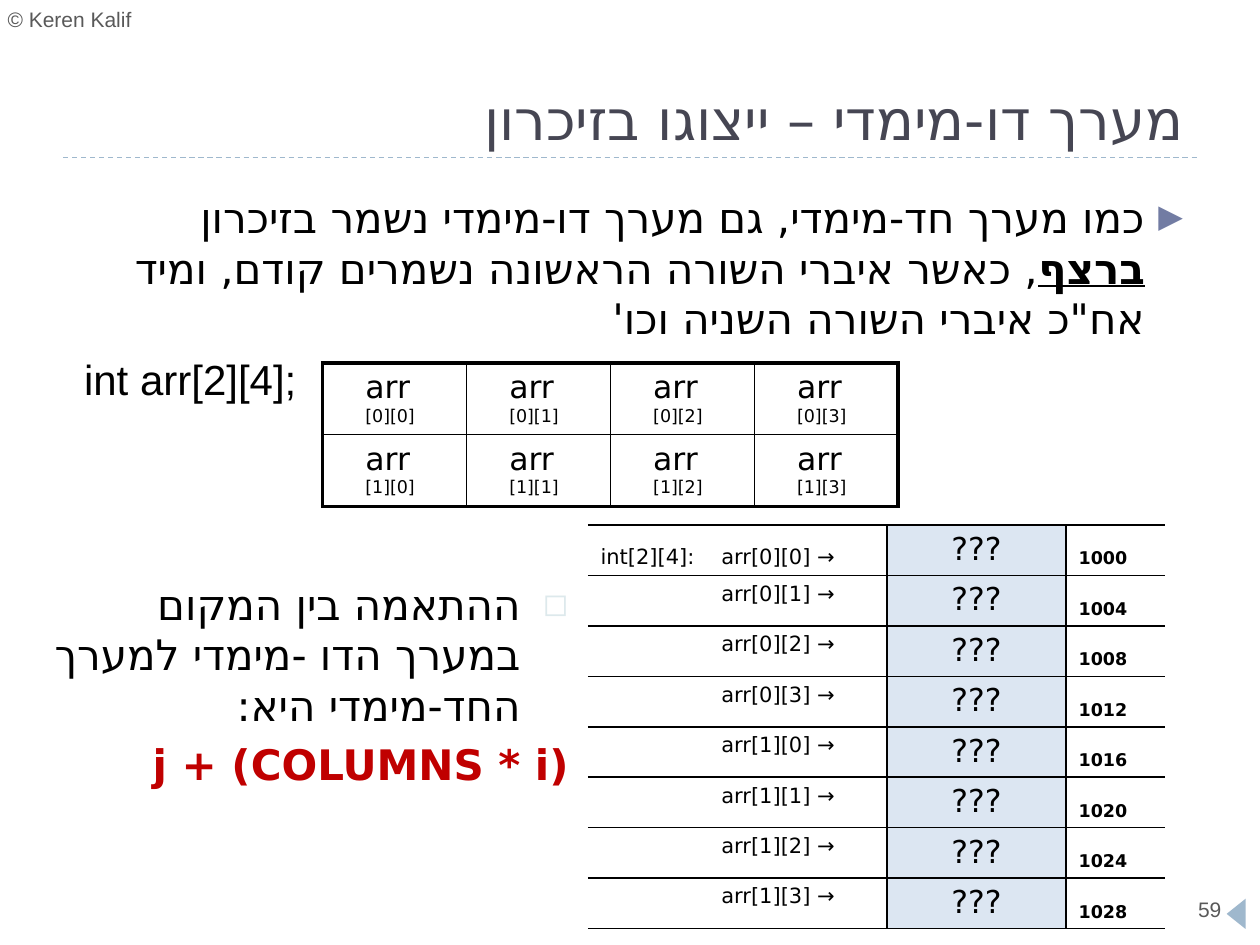
from dataclasses import dataclass
from lxml.etree import SubElement
from pptx import Presentation
from pptx.dml.color import RGBColor
from pptx.enum.dml import MSO_LINE
from pptx.enum.shapes import MSO_CONNECTOR, MSO_SHAPE
from pptx.enum.text import MSO_ANCHOR, PP_ALIGN
from pptx.oxml.ns import qn
from pptx.util import Pt


@dataclass(frozen=True)
class Theme:
    ink: str = "000000"
    title: str = "464653"
    note: str = "595959"
    rule: str = "9FB8CD"
    mark: str = "727CA3"
    pale: str = "DDE9EC"
    cell: str = "DCE6F2"
    red: str = "C00000"
    sans: str = "Arial"
    wide: str = "DejaVu Sans"
    head: int = 32
    body: int = 24
    item: int = 18
    small: int = 12
    tiny: int = 10


T = Theme()
SIDES = {"l": "a:lnL", "r": "a:lnR", "t": "a:lnT", "b": "a:lnB"}


def write(para, text, size=T.body, font=T.sans, color=T.ink, bold=False,
          line=False, align=None, rtl=False, indent=0, hang=0, before=0,
          bullet=None):
    """Add a run; bullet is (sign, colour, percent of text size)."""
    props = para._p.get_or_add_pPr()
    if rtl:
        props.set("rtl", "1")
        align = PP_ALIGN.RIGHT
    if indent:
        props.set("marL", str(Pt(indent)))
        props.set("indent", str(Pt(-hang)))
    if bullet:
        sign, tint, scale = bullet
        SubElement(SubElement(props, qn("a:buClr")), qn("a:srgbClr"), val=tint)
        SubElement(props, qn("a:buSzPct"), val=str(scale * 1000))
        SubElement(props, qn("a:buFont"), typeface=T.wide)
        SubElement(props, qn("a:buChar"), char=sign)
    if align is not None:
        para.alignment = align
    if before:
        para.space_before = Pt(before)
    run = para.add_run()
    run.text = text
    face = run.font
    face.size, face.name, face.bold, face.underline = Pt(size), font, bold, line
    face.color.rgb = RGBColor.from_string(color)
    SubElement(run._r.get_or_add_rPr(), qn("a:cs"), typeface=T.wide)


def add_box(slide, box, anchor=MSO_ANCHOR.TOP, inset=7.2):
    frame = slide.shapes.add_textbox(*map(Pt, box)).text_frame
    frame.word_wrap = True
    frame.vertical_anchor = anchor
    frame.margin_left = Pt(inset)
    return frame


def add_edges(cell, edges):
    """Draw the sides given as {side: width}; clear the rest."""
    props = cell._tc.get_or_add_tcPr()
    for side, tag in SIDES.items():
        width = edges.get(side, 0)
        edge = SubElement(props, qn(tag), w=str(Pt(width)))
        if width:
            fill = SubElement(edge, qn("a:solidFill"))
            SubElement(fill, qn("a:srgbClr"), val=T.ink)
        else:
            SubElement(edge, qn("a:noFill"))


def add_grid(slide, box, rows, widths):
    left, top, width, height = box
    table = slide.shapes.add_table(rows, len(widths), Pt(left), Pt(top),
                                   Pt(width), Pt(height)).table
    table.first_row = table.horz_banding = False
    for col, size in zip(table.columns, widths):
        col.width = Pt(size)
    for row in table.rows:
        row.height = Pt(height / rows)
    return table


def add_frame(slide, box):
    left, top, width, height = box
    rule = slide.shapes.add_connector(MSO_CONNECTOR.STRAIGHT, Pt(left + 36),
                                      Pt(top + 90), Pt(left + width - 36),
                                      Pt(top + 90))
    rule.line.color.rgb = RGBColor.from_string(T.rule)
    rule.line.width = Pt(0.75)
    rule.line.dash_style = MSO_LINE.DASH
    SubElement(rule._element.spPr, qn("a:effectLst"))
    arrow = slide.shapes.add_shape(
        MSO_SHAPE.ISOSCELES_TRIANGLE, Pt(left + width - 22.3),
        Pt(top + height - 23.2), Pt(17.3), Pt(10.8))
    arrow.rotation = 270
    arrow.shadow.inherit = False
    arrow.fill.solid()
    arrow.fill.fore_color.rgb = RGBColor.from_string(T.rule)
    arrow.line.fill.background()
    note = add_box(slide, (left, top, 106, 22), inset=4.3)
    write(note.paragraphs[0], "© Keren Kalif", size=T.small, color=T.note)
    page = add_box(slide, (left + width - 42.5, top + height - 31, 34, 22))
    write(page.paragraphs[0], "59", size=T.small, color=T.note)


def add_title(slide, box):
    frame = add_box(slide, box, anchor=MSO_ANCHOR.BOTTOM)
    write(frame.paragraphs[0], "מערך דו-מימדי – ייצוגו בזיכרון",
          size=T.head, color=T.title, rtl=True)


def add_intro(slide, box):
    frame = add_box(slide, box)
    para = frame.paragraphs[0]
    write(para, "כמו מערך חד-מימדי, גם מערך דו-מימדי נשמר בזיכרון ", rtl=True,
          indent=21.6, hang=21.6, bullet=("▶", T.mark, 76))
    write(para, "ברצף", bold=True, line=True)
    write(para, ", כאשר איברי השורה הראשונה נשמרים קודם, ומיד אח\"כ "
                "איברי השורה השניה וכו'")
    write(frame.add_paragraph(), "int arr[2][4];", before=6)


def add_match(slide, box):
    """Rule that maps a grid place to a memory place."""
    frame = add_box(slide, box)
    look = dict(font=T.wide, rtl=True, indent=27.4, hang=27.4)
    write(frame.paragraphs[0],
          "ההתאמה בין המקום במערך הדו -מימדי למערך החד-מימדי היא:",
          bullet=("◻", T.pale, 75), **look)
    write(frame.add_paragraph(), "(COLUMNS * i) + j", color=T.red, bold=True,
          before=4.8, **look)


def add_array(slide, box, rows, cols):
    table = add_grid(slide, box, rows, [box[2] / cols] * cols)
    for i in range(rows):
        for j in range(cols):
            cell = table.cell(i, j)
            cell.margin_left = cell.margin_right = Pt(24.5)
            outer = {"l": j == 0, "r": j == cols - 1,
                     "t": i == 0, "b": i == rows - 1}
            add_edges(cell, {s: 2.25 if out else 1 for s, out in outer.items()})
            cell.fill.background()
            para = cell.text_frame.paragraphs[0]
            write(para, "arr ", size=T.item, font=T.wide)
            write(para, f"[{i}][{j}]", size=T.tiny, font=T.wide)


def add_memory(slide, box, rows, cols):
    count = rows * cols
    table = add_grid(slide, box, count, [170.8, 102.4, box[2] - 273.2])
    for n in range(count):
        name, value, place = (table.cell(n, c) for c in range(3))
        add_edges(name, {"t": 1, "r": 1, "b": 1})
        add_edges(value, dict.fromkeys(SIDES, 1))
        add_edges(place, {"l": 1, "t": 1, "b": 1})
        name.fill.background()
        value.fill.solid()
        value.fill.fore_color.rgb = RGBColor.from_string(T.cell)
        place.fill.background()
        place.vertical_anchor = MSO_ANCHOR.BOTTOM
        label = f"arr[{n // cols}][{n % cols}] →"
        if n == 0:
            label = f"int[{rows}][{cols}]:\t{label}"
            name.vertical_anchor = MSO_ANCHOR.BOTTOM
        write(name.text_frame.paragraphs[0], label, size=T.small, font=T.wide,
              indent=69, hang=0 if n else 69)
        write(value.text_frame.paragraphs[0], "???", size=T.item, font=T.wide,
              align=PP_ALIGN.CENTER)
        write(place.text_frame.paragraphs[0], str(1000 + 4 * n), size=T.tiny,
              font=T.wide, bold=True)


def main():
    deck = Presentation()
    deck.slide_width, deck.slide_height = Pt(720), Pt(540)
    slide = deck.slides.add_slide(deck.slide_layouts[6])
    add_frame(slide, (0, 0, 720, 540))
    add_title(slide, (25, 12, 659, 78))
    add_intro(slide, (41, 106, 642, 356))
    add_memory(slide, (336, 300, 330, 225), 2, 4)
    add_match(slide, (12, 327, 320, 177))
    add_array(slide, (184.3, 207.4, 329, 82), 2, 4)
    deck.save("out.pptx")


if __name__ == "__main__":
    main()
